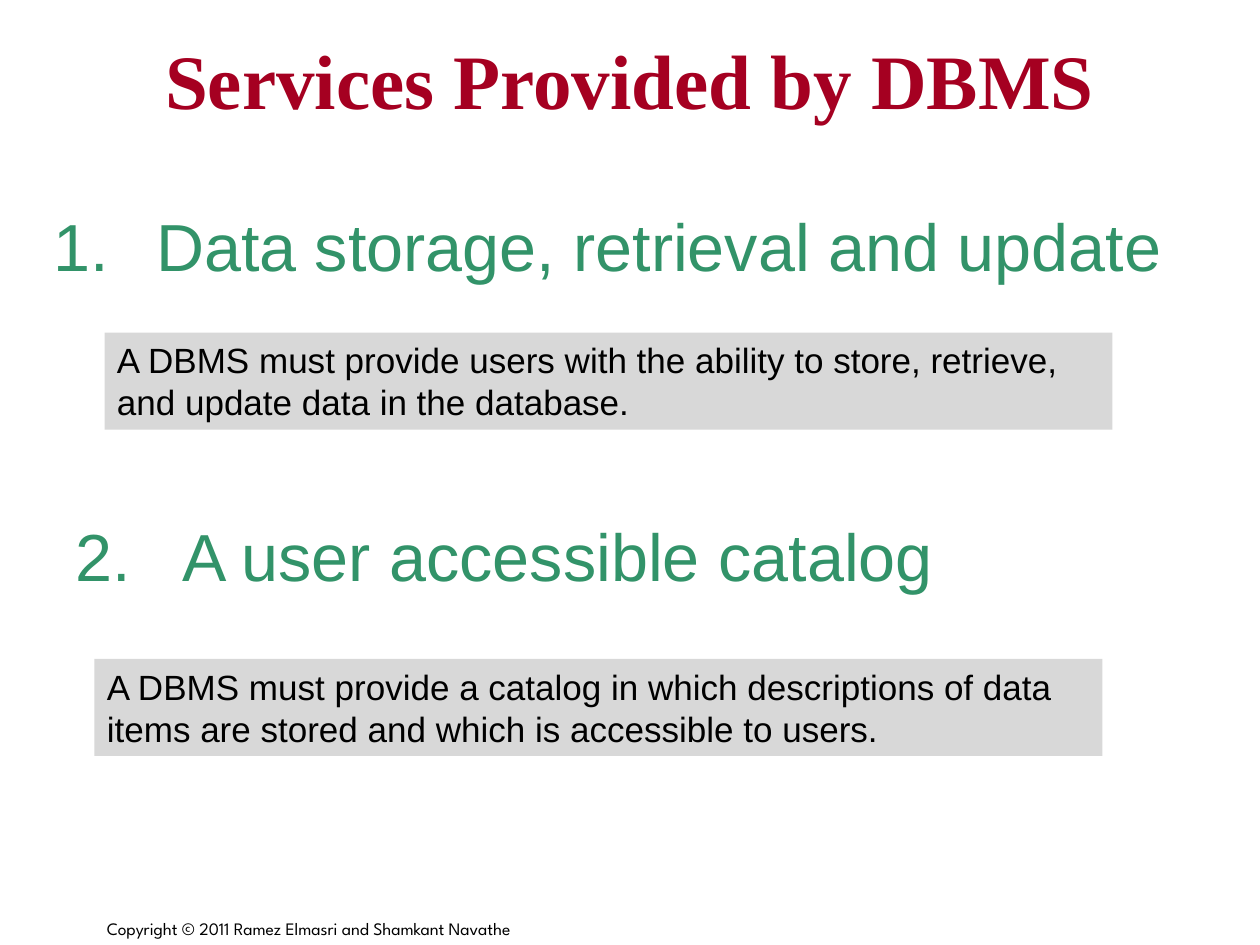
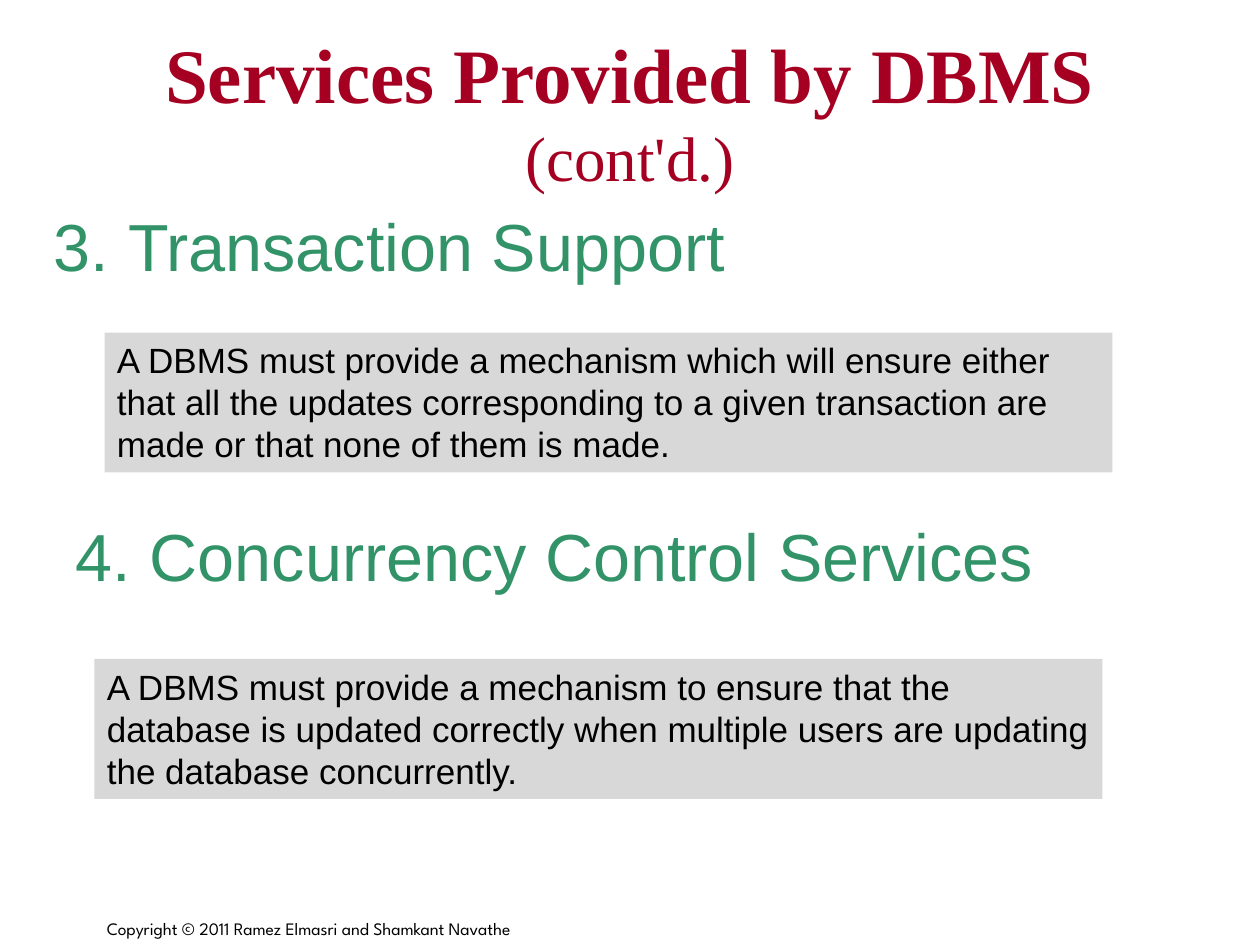
from lxml.etree import SubElement
from pptx import Presentation
from pptx.dml.color import RGBColor
from pptx.enum.shapes import MSO_SHAPE as Shape
from pptx.enum.text import MSO_ANCHOR as Anchor, MSO_AUTO_SIZE as AutoSize, PP_ALIGN as Align
from pptx.oxml.ns import qn
from pptx.util import Emu, Pt

SCALE = 9144
CRIMSON, GREEN, GREY, BLACK = "A50021", "329369", "D8D8D8", "000000"
SERIF, SANS, FOOTER_FONT = "Times New Roman", "Arial", "League Spartan"
TITLE = "Services Provided by DBMS"
FOOTER = "Copyright © 2011 Ramez Elmasri and Shamkant Navathe"
HEADING_HEIGHT = 121

PAGES = [
    {
        "title_top": 0,
        "suffix": "",
        "panel_height": 77,
        "services": [
            (1, 81, "Data storage, retrieval and update",
             "A DBMS must provide users with the ability to store, retrieve, "
             "and update data in the database."),
            (2, 85, "A user accessible catalog",
             "A DBMS must provide a catalog in which descriptions of data "
             "items are stored and which is accessible to users."),
        ],
    },
    {
        "title_top": 25,
        "suffix": "(cont'd.)",
        "panel_height": 111,
        "services": [
            (3, 59, "Transaction Support",
             "A DBMS must provide a mechanism which will ensure either that all the "
             "updates corresponding to a given transaction are made or that none of "
             "them is made."),
            (4, 59, "Concurrency Control Services",
             "A DBMS must provide a mechanism to ensure that the database is updated "
             "correctly when multiple users are updating the database concurrently."),
        ],
    },
]
SERVICE_SLOTS = [
    {"heading": (33, 158, 908), "panel": (83, 264, 800)},
    {"heading": (50, 404, 858), "panel": (75, 523, 800)},
]


def px(length):
    return Emu(length * SCALE)


def color(value):
    return RGBColor.from_string(value)


def style_run(span, size, font, tone, bold=False):
    span.font.size = Pt(size)
    span.font.name = font
    span.font.bold = bold
    span.font.color.rgb = color(tone)


def prepare_frame(frame, anchor=Anchor.TOP, inset_x=10, inset_y=5):
    frame.word_wrap = True
    frame.auto_size = AutoSize.NONE
    frame.vertical_anchor = anchor
    frame.margin_left = frame.margin_right = px(inset_x)
    frame.margin_top = frame.margin_bottom = px(inset_y)


def fill_text(box, text, size, font, tone, anchor=Anchor.TOP):
    frame = box.text_frame
    prepare_frame(frame, anchor)
    frame.text = text
    para = frame.paragraphs[0]
    para.alignment = Align.LEFT
    style_run(para.runs[0], size, font, tone)
    return para


def number_paragraph(para, number, hang):
    properties = para._p.get_or_add_pPr()
    properties.set("marL", str(px(hang)))
    properties.set("indent", str(-px(hang)))
    SubElement(properties, qn("a:buFont"), typeface=SANS)
    SubElement(properties, qn("a:buAutoNum"), type="arabicPeriod", startAt=str(number))


def add_title(page, top, suffix):
    title = page.shapes.title
    title.left, title.top, title.width, title.height = map(px, (50, top, 900, 125))
    prepare_frame(title.text_frame, Anchor.MIDDLE, 0, 0)
    title.text_frame.text = f"{TITLE} " if suffix else TITLE
    para = title.text_frame.paragraphs[0]
    para.alignment = Align.CENTER
    style_run(para.runs[0], 44, SERIF, CRIMSON, True)
    if suffix:
        span = para.add_run()
        span.text = suffix
        style_run(span, 36, SERIF, CRIMSON)


def add_heading(page, place, number, hang, text):
    box = page.shapes.add_textbox(*map(px, (*place, HEADING_HEIGHT)))
    para = fill_text(box, text, 38, SANS, GREEN)
    number_paragraph(para, number, hang)


def add_panel(page, place, height, text):
    panel = page.shapes.add_shape(Shape.RECTANGLE, *map(px, (*place, height)))
    panel.shadow.inherit = False
    panel.fill.solid()
    panel.fill.fore_color.rgb = color(GREY)
    panel.line.fill.background()
    fill_text(panel, text, 20, SANS, BLACK)


def add_footer(page):
    box = page.shapes.add_textbox(*map(px, (75, 717, 716, 33)))
    fill_text(box, FOOTER, 10, FOOTER_FONT, BLACK, Anchor.BOTTOM)


def add_services_page(deck, content):
    page = deck.slides.add_slide(deck.slide_layouts[5])
    page.background.fill.solid()
    page.background.fill.fore_color.rgb = color("FFFFFF")
    add_footer(page)
    add_title(page, content["title_top"], content["suffix"])
    for slot, service in zip(SERVICE_SLOTS, content["services"]):
        number, hang, name, description = service
        add_heading(page, slot["heading"], number, hang, name)
        add_panel(page, slot["panel"], content["panel_height"], description)


def main():
    deck = Presentation()
    deck.slide_width, deck.slide_height = px(1000), px(750)
    for content in PAGES:
        add_services_page(deck, content)
    deck.save("out.pptx")


if __name__ == "__main__":
    main()
